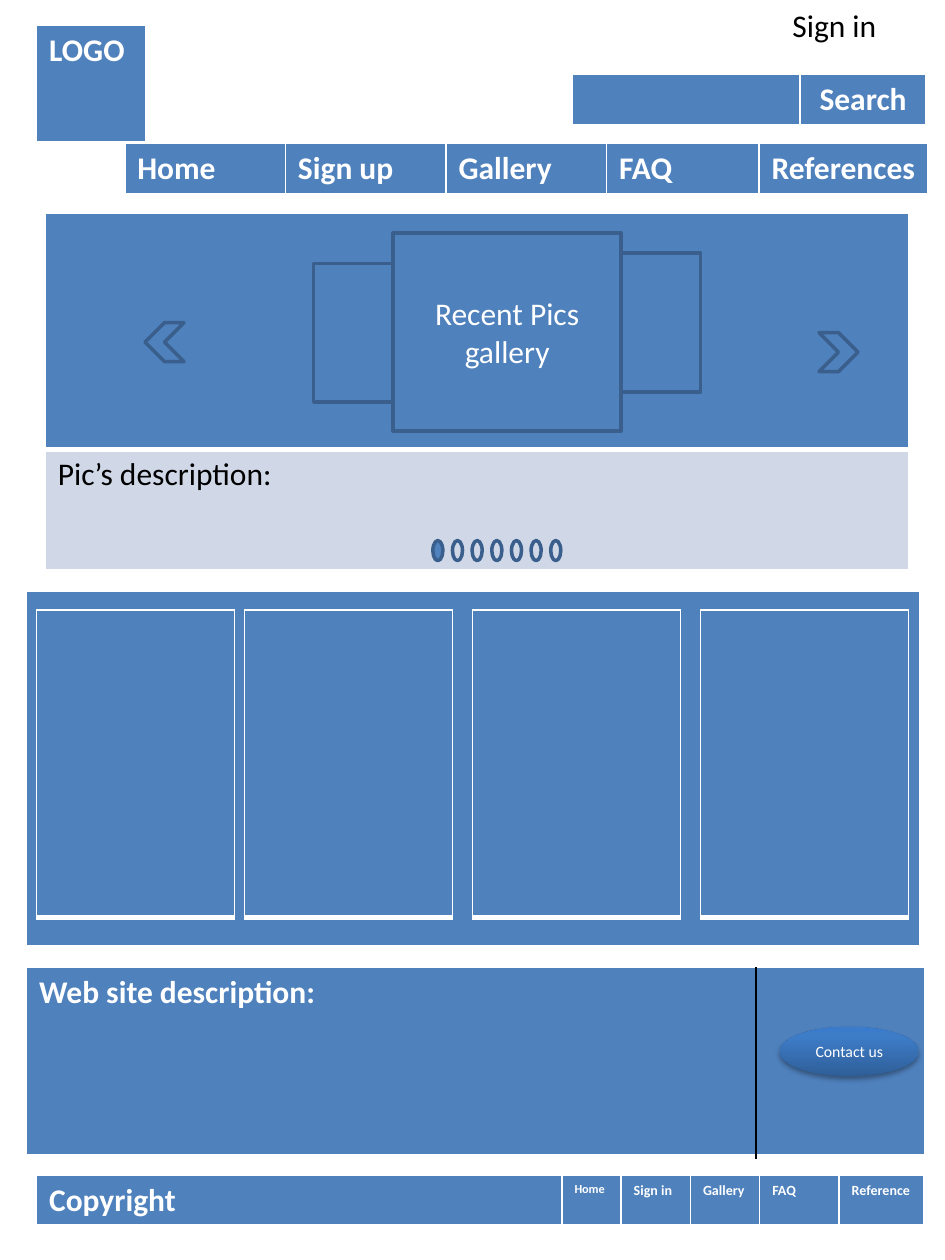
from lxml.etree import SubElement
from pptx import Presentation
from pptx.dml.color import RGBColor
from pptx.enum.shapes import MSO_SHAPE as Preset
from pptx.enum.text import MSO_ANCHOR as Anchor, MSO_AUTO_SIZE as AutoSize, PP_ALIGN as Align
from pptx.oxml.ns import qn
from pptx.util import Inches, Pt

COLORS = {"panel": "4F81BD", "pale": "D0D8E8", "outline": "3A5F8C", "white": "FFFFFF",
          "black": "000000", "deep": "2F5F99", "bright": "3D7CC7", "top": "3A7CCB"}
COLUMNS, ROWS = 75, 100
FONT = "Calibri"

presentation = Presentation()
presentation.slide_width, presentation.slide_height = Inches(7.5), Inches(10)
COLUMN = presentation.slide_width / COLUMNS
ROW = presentation.slide_height / ROWS


def place(box):
    left, top, width, height = box
    return round(left * COLUMN), round(top * ROW), round(width * COLUMN), round(height * ROW)


def rgb(name):
    return RGBColor.from_string(COLORS[name])


def add_run(paragraph, text, size=18, color="white", bold=False):
    run = paragraph.add_run()
    run.text = text
    run.font.name, run.font.size, run.font.bold = FONT, Pt(size), bold
    run.font.color.rgb = rgb(color)


def add_color(parent, name):
    return SubElement(parent, qn("a:srgbClr"), val=COLORS[name])


def style_cell(cell, fill="panel", **borders):
    sides = {"L": ("white", 1), "R": ("white", 1), "T": ("white", 1), "B": ("white", 3)} | borders
    properties = cell._tc.get_or_add_tcPr()
    for side, (color, width) in sides.items():
        line = SubElement(properties, qn(f"a:ln{side}"), w=str(Pt(width)))
        add_color(SubElement(line, qn("a:solidFill")), color)
    cell.fill.solid()
    cell.fill.fore_color.rgb = rgb(fill)


def add_grid(slide, box, widths=None, heights=None):
    widths, heights = widths or [box[2]], heights or [box[3]]
    table = slide.shapes.add_table(len(heights), len(widths), *place(box)).table
    for column, width in zip(table.columns, widths):
        column.width = round(width * COLUMN)
    for row, height in zip(table.rows, heights):
        row.height = round(height * ROW)
    return table


def add_bar(slide, box, labels, widths=None, sizes=None, align=None):
    table = add_grid(slide, box, widths)
    for index, label in enumerate(labels):
        cell = table.cell(0, index)
        style_cell(cell)
        if label:
            paragraph = cell.text_frame.paragraphs[0]
            paragraph.alignment = align
            add_run(paragraph, label, sizes[index] if sizes else 18, bold=True)


def add_outlined(slide, preset, box, filled=True):
    shape = slide.shapes.add_shape(preset, *place(box))
    shape.shadow.inherit = False
    if filled:
        shape.fill.solid()
        shape.fill.fore_color.rgb = rgb("panel")
    else:
        shape.fill.background()
    shape.line.color.rgb = rgb("outline")
    shape.line.width = Pt(2)
    return shape


def center_text(shape, text, size):
    shape.text_frame.vertical_anchor = Anchor.MIDDLE
    paragraph = shape.text_frame.paragraphs[0]
    paragraph.alignment = Align.CENTER
    paragraph._p.get_or_add_pPr().set("rtl", "1")
    add_run(paragraph, text, size)


def add_header(slide):
    add_bar(slide, (2.9, 2, 8.7, 9.4), ["LOGO"])
    add_bar(slide, (9.9, 11.4, 63.8, 4.1), ["Home", "Sign up", "Gallery", "FAQ", "References"],
            [12.75, 12.75, 12.75, 12.1, 13.4])
    add_bar(slide, (45.4, 5.9, 28.1, 4.1), ["", "Search"], [18.1, 10], align=Align.CENTER)


def add_gallery(slide, box):
    left, top, width, height = box
    table = add_grid(slide, box, heights=[18.75, 9.55])
    picture, description = table.cell(0, 0), table.cell(1, 0)
    style_cell(picture)
    style_cell(description, "pale", T=("white", 3), B=("white", 1))
    add_run(description.text_frame.paragraphs[0], "Pic’s description:", color="black")

    add_outlined(slide, Preset.CHEVRON, (left + 61.4, top + 9.5, 3.1, 3.1))
    add_outlined(slide, Preset.CHEVRON, (left + 7.9, top + 8.7, 3.1, 3.1)).rotation = 180
    for offset, drop in ((42.6, 3.2), (21.3, 4)):
        add_outlined(slide, Preset.RECTANGLE, (left + offset, top + drop, 9.4, 11))
    front = add_outlined(slide, Preset.RECTANGLE, (left + 27.6, top + 1.6, 18.1, 15.7))
    center_text(front, "Recent Pics gallery", 18)
    for index in range(7):
        dot = (left + 30.75 + index * 1.56, top + 26, 0.8, 1.6)
        add_outlined(slide, Preset.FLOWCHART_CONNECTOR, dot, filled=index == 0)


def add_cards(slide, box):
    left, top, width, height = box
    add_bar(slide, box, [""])
    for offset, card_width in ((0.8, 15.7), (17.3, 16.5), (35.4, 16.5), (53.5, 16.5)):
        add_bar(slide, (left + offset, top + 1.5, card_width, 24.4), [""])


def add_contact_button(slide, box):
    button = slide.shapes.add_shape(Preset.OVAL, *place(box))
    button.shadow.inherit = False
    button.line.fill.background()
    button.fill.gradient()
    button.fill.gradient_angle = 90
    stops = button._element.spPr.find(f".//{qn('a:gsLst')}")
    for stop in list(stops):
        stops.remove(stop)
    for position, color in ((0, "deep"), (80, "bright"), (100, "top")):
        add_color(SubElement(stops, qn("a:gs"), pos=str(position * 1000)), color)
    effects = button._element.spPr.find(qn("a:effectLst"))
    shadow = SubElement(effects, qn("a:outerShdw"), blurRad=str(Pt(3.1)), dist=str(Pt(1.8)),
                        dir="5400000", rotWithShape="0")
    SubElement(add_color(shadow, "black"), qn("a:alpha"), val="35000")
    center_text(button, "Contact us", 9)


def add_about(slide, box):
    left, top, width, height = box
    table = add_grid(slide, box, [57.9, 13.4])
    about, contact = table.cell(0, 0), table.cell(0, 1)
    style_cell(about, R=("black", 1))
    style_cell(contact, L=("black", 1))
    add_run(about.text_frame.paragraphs[0], "Web site description:", bold=True)
    add_contact_button(slide, (left + 59.8, top + 4.7, 11, 3.9))


def add_footer(slide, box):
    add_bar(slide, box, ["Copyright", "Home", "Sign in", "Gallery", "FAQ", "Reference"],
            [41.7, 4.7, 5.5, 5.5, 6.3, 6.7], [18, 7, 8, 8, 8, 8])


def add_sign_in(slide, box):
    frame = slide.shapes.add_textbox(*place(box)).text_frame
    frame.word_wrap = False
    frame.auto_size = AutoSize.SHAPE_TO_FIT_TEXT
    add_run(frame.paragraphs[0], "Sign in", color="black")


def main():
    slide = presentation.slides.add_slide(presentation.slide_layouts[6])
    add_header(slide)
    add_gallery(slide, (3.6, 16.9, 68.5, 28.3))
    add_cards(slide, (2.1, 46.9, 70.9, 28.3))
    add_about(slide, (2.1, 76.8, 71.3, 15))
    add_footer(slide, (2.9, 93.3, 70.4, 4))
    add_sign_in(slide, (61.9, 0, 8.8, 4))
    presentation.save("out.pptx")


if __name__ == "__main__":
    main()
